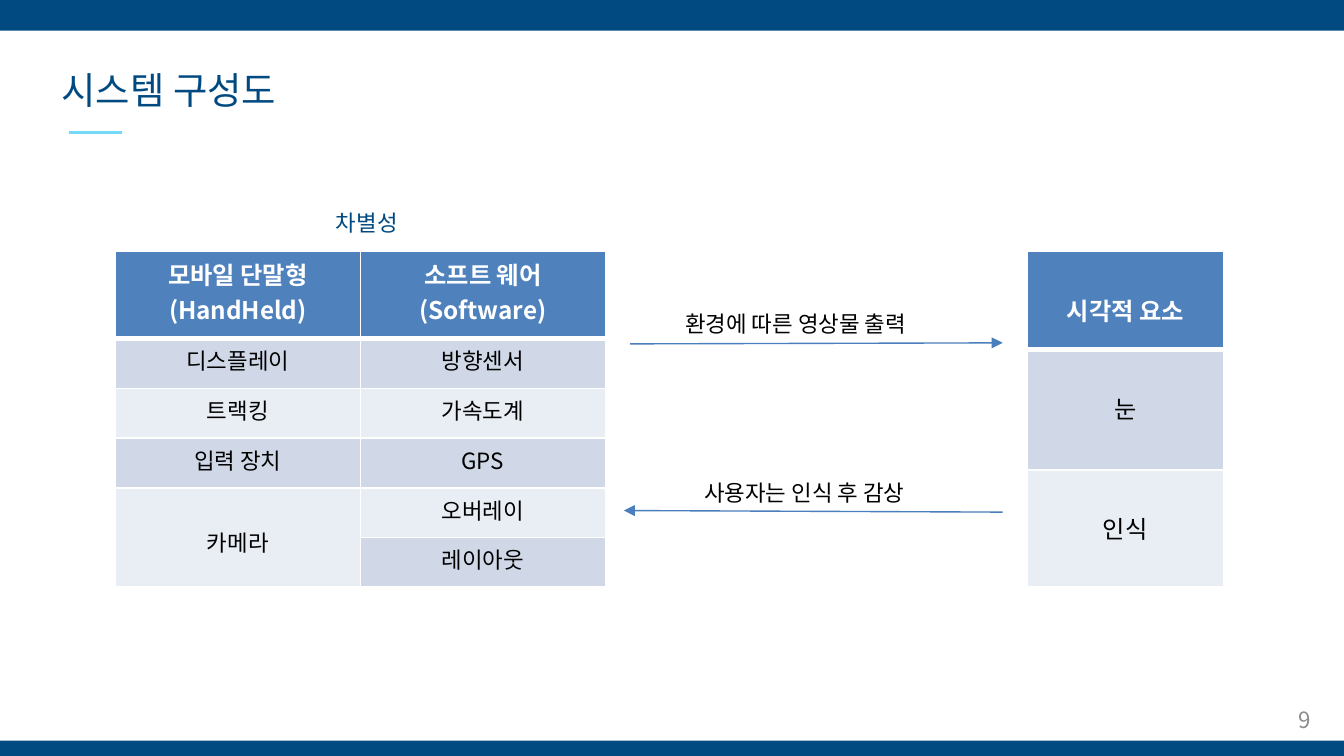
"""Build the system diagram slide: two component tables linked by labelled arrows."""
import lxml.etree
import pptx
import pptx.dml.color
import pptx.enum.shapes
import pptx.enum.text
import pptx.oxml
import pptx.oxml.ns
import pptx.util

Cm = pptx.util.Cm
Pt = pptx.util.Pt
RGBColor = pptx.dml.color.RGBColor
Align = pptx.enum.text.PP_ALIGN
qn = pptx.oxml.ns.qn

FONT = "Noto Sans CJK KR"
NAVY = RGBColor(0x01, 0x4A, 0x81)
SKY = RGBColor(0x73, 0xDA, 0xF9)
HEADER_BLUE = RGBColor(0x4F, 0x81, 0xBD)
ARROW_BLUE = RGBColor(0x4B, 0x7E, 0xBC)
BAND_DARK = RGBColor(0xD0, 0xD8, 0xE8)
BAND_LIGHT = RGBColor(0xE9, 0xED, 0xF4)
GRAY = RGBColor(0x8C, 0x8C, 0x8C)
BLACK = RGBColor(0, 0, 0)
WHITE = RGBColor(0xFF, 0xFF, 0xFF)


def make_line(tag, color, width):
    line = lxml.etree.Element(qn(tag), w=str(Pt(width)))
    fill = lxml.etree.SubElement(line, qn("a:solidFill"))
    lxml.etree.SubElement(fill, qn("a:srgbClr"), val=str(color))
    return line


def add_run(paragraph, text, size, color, bold=False, outlined=False):
    run = paragraph.add_run()
    run.text = text
    run.font.name = FONT
    run.font.size = Pt(size)
    run.font.bold = bold
    run.font.color.rgb = color
    properties = run.font._element
    lxml.etree.SubElement(properties, qn("a:ea"), typeface=FONT)
    if outlined:
        outline = make_line("a:ln", color, 0.75)
        lxml.etree.SubElement(outline[0][0], qn("a:alpha"), val="40000")
        properties.insert(0, outline)


presentation = pptx.Presentation()
presentation.slide_width = Cm(25.4)
presentation.slide_height = Cm(14.29)
slide = presentation.slides.add_slide(presentation.slide_layouts[5])
shapes = slide.shapes

title = shapes.title
title.left, title.top, title.width, title.height = Cm(0.91), Cm(1.14), Cm(5.03), Cm(1.12)
title.text_frame.word_wrap = False
title.text_frame.auto_size = pptx.enum.text.MSO_AUTO_SIZE.SHAPE_TO_FIT_TEXT
title.text_frame.vertical_anchor = pptx.enum.text.MSO_ANCHOR.TOP
title.text_frame.paragraphs[0].alignment = Align.LEFT
add_run(title.text_frame.paragraphs[0], "시스템 구성도", 20, NAVY, outlined=True)

for top, height in [(0, 0.58), (14, 0.29)]:
    bar = shapes.add_shape(
        pptx.enum.shapes.MSO_SHAPE.RECTANGLE, 0, Cm(top), presentation.slide_width, Cm(height))
    bar.shadow.inherit = False
    bar.fill.solid()
    bar.fill.fore_color.rgb = NAVY
    bar.line.fill.background()

tables = [
    (2.18, 4.63, [1.65] + [0.94] * 5, 12,
     [["모바일 단말형\n(HandHeld)", "소프트 웨어\n(Software)"],
      ["디스플레이", "방향센서"],
      ["트랙킹", "가속도계"],
      ["입력 장치", "GPS"],
      ["카메라", "오버레이"],
      ["", "레이아웃"]],
     {"카메라": 0.71}),
    (19.41, 3.71, [1.86, 2.28, 2.21], 13,
     [["시각적 요소"], ["눈"], ["인식"]],
     {"시각적 요소": 0.77, "눈": 0.77, "인식": 0.77}),
]
for left, column_width, row_heights, body_size, rows, top_margins in tables:
    column_count = len(rows[0])
    table = shapes.add_table(
        len(rows), column_count, Cm(left), Cm(4.75),
        Cm(column_width * column_count), Cm(sum(row_heights))).table
    for column in table.columns:
        column.width = Cm(column_width)
    for row_index, texts in enumerate(rows):
        table.rows[row_index].height = Cm(row_heights[row_index])
        is_header = row_index == 0
        band = BAND_DARK if row_index % 2 else BAND_LIGHT
        for column_index, text in enumerate(texts):
            cell = table.cell(row_index, column_index)
            cell.margin_left = cell.margin_right = Cm(0.2)
            cell.margin_top = Cm(top_margins.get(text, 0.1))
            cell.margin_bottom = Cm(0.1)
            cell.fill.solid()
            cell.fill.fore_color.rgb = HEADER_BLUE if is_header else band
            borders = [("a:lnL", 1), ("a:lnR", 1), ("a:lnT", 3 if row_index == 1 else 1),
                       ("a:lnB", 3 if is_header else 1)]
            for position, (tag, width) in enumerate(borders):
                cell._tc.get_or_add_tcPr().insert(position, make_line(tag, WHITE, width))
            if not text:
                table.cell(row_index - 1, column_index).merge(cell)
                continue
            for line_index, line_text in enumerate(text.split("\n")):
                frame = cell.text_frame
                paragraph = frame.add_paragraph() if line_index else frame.paragraphs[0]
                paragraph.alignment = Align.CENTER
                add_run(paragraph, line_text, 13 if is_header else body_size,
                        WHITE if is_header else BLACK, bold=is_header)

connectors = [
    (2.31, 2.51, 1.3, 2.51, SKY, 1.5, False),
    (11.91, 6.5, 18.95, 6.48, ARROW_BLUE, 0.75, True),
    (18.95, 9.68, 11.79, 9.65, ARROW_BLUE, 0.75, True),
]
for start_x, start_y, end_x, end_y, color, width, has_arrow in connectors:
    connector = shapes.add_connector(
        pptx.enum.shapes.MSO_CONNECTOR.STRAIGHT, Cm(start_x), Cm(start_y), Cm(end_x), Cm(end_y))
    connector.line.color.rgb = color
    connector.line.width = Pt(width)
    if has_arrow:
        lxml.etree.SubElement(connector.line._get_or_add_ln(), qn("a:tailEnd"), type="triangle")
    lxml.etree.SubElement(connector._element.spPr, qn("a:effectLst"))

labels = [
    ("환경에 따른 영상물 출력", 12.7, 5.74, 5.99, 1.02, 0.25, 0.13, BLACK, Align.LEFT, False),
    ("사용자는 인식 후 감상", 13.06, 8.92, 5.26, 1.02, 0.25, 0.13, BLACK, Align.LEFT, False),
    ("차별성", 6.35, 3.96, 12.7, 0.51, 0, 0, NAVY, Align.LEFT, True),
    ("9", 19.1, 13.23, 5.92, 0.76, 0.25, 0.13, GRAY, Align.RIGHT, True),
]
for text, left, top, width, height, side, edge, color, alignment, wraps in labels:
    label = shapes.add_textbox(Cm(left), Cm(top), Cm(width), Cm(height))
    frame = label.text_frame
    frame.word_wrap = wraps
    frame.margin_left = frame.margin_right = Cm(side)
    frame.margin_top = frame.margin_bottom = Cm(edge)
    if alignment == Align.RIGHT:
        frame.vertical_anchor = pptx.enum.text.MSO_ANCHOR.MIDDLE
    frame.paragraphs[0].alignment = alignment
    add_run(frame.paragraphs[0], text, 12, color, outlined=color == NAVY)

presentation.save("out.pptx")
